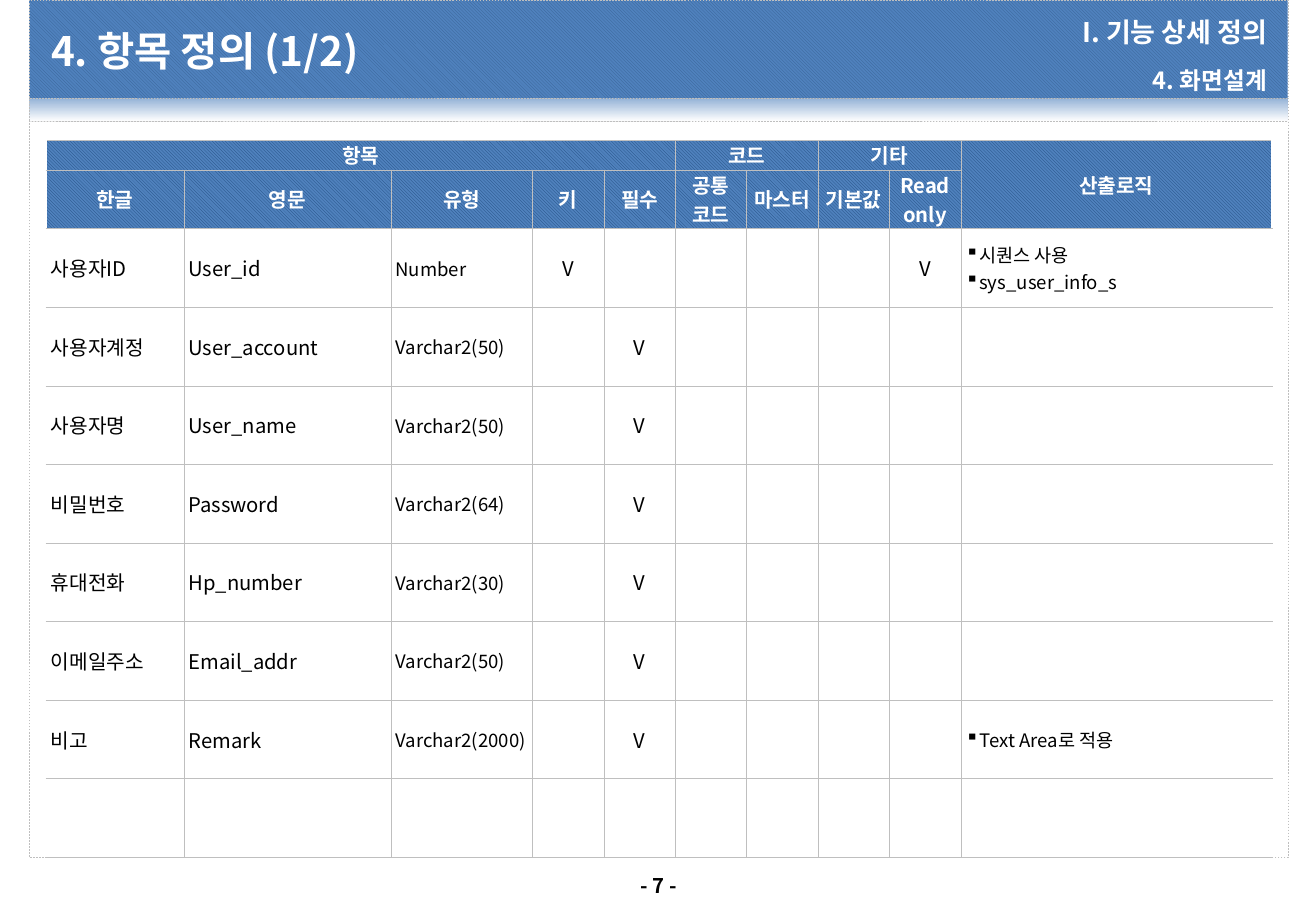
from lxml import etree
from pptx import Presentation
from pptx.dml.color import RGBColor
from pptx.enum.dml import MSO_LINE, MSO_PATTERN
from pptx.enum.shapes import MSO_SHAPE
from pptx.enum.text import MSO_ANCHOR, MSO_AUTO_SIZE, PP_ALIGN
from pptx.oxml.ns import qn
from pptx.util import Pt

LEFT, CENTER, RIGHT = PP_ALIGN.LEFT, PP_ALIGN.CENTER, PP_ALIGN.RIGHT
MIDDLE = MSO_ANCHOR.MIDDLE
NO_AUTOFIT = MSO_AUTO_SIZE.NONE
DIAGONAL = MSO_PATTERN.LIGHT_DOWNWARD_DIAGONAL
DASH = MSO_LINE.DASH
RECTANGLE = MSO_SHAPE.RECTANGLE

FONT = "Noto Sans CJK KR"
COLORS = {
    "white": "FFFFFF", "black": "000000", "border": "BFBFBF",
    "blue": "4F81BD", "banner_hatch": "376092", "header_hatch": "1F497D",
    "fade": "95B3D7",
}
BORDER_WIDTH = Pt(0.25)
CELL_FORMAT = {
    "margin_left": Pt(2.83), "margin_right": Pt(2.83),
    "margin_top": 0, "margin_bottom": 0, "vertical_anchor": MIDDLE,
}
HEADING_FORMAT = {
    "margin_left": Pt(2.83), "margin_right": Pt(2.83),
    "margin_top": Pt(2.83), "margin_bottom": Pt(2.83),
    "vertical_anchor": MIDDLE, "word_wrap": True, "auto_size": NO_AUTOFIT,
}
PAGE_NUMBER_FORMAT = {"word_wrap": False, "auto_size": NO_AUTOFIT}
SUBHEADING_SPACING = {
    "line_spacing": 1.5, "space_before": Pt(2.8), "space_after": Pt(2.8),
}

COLUMN_WIDTHS = [81.5, 122.7, 84.1] + [42.3] * 6 + [184.6]
HEADER_HEIGHTS = [13.7, 27.4]
ITEM_HEIGHT = 46.6
# Header group: first row, first column, last row, last column, label
HEADER_GROUPS = [
    (0, 0, 0, 4, "항목"), (0, 5, 0, 6, "코드"),
    (0, 7, 0, 8, "기타"), (0, 9, 1, 9, "산출로직"),
]
HEADERS = ["한글", "영문", "유형", "키", "필수", "공통\n코드", "마스터",
           "기본값", "Read only"]
KEY, REQUIRED, READ_ONLY, LOGIC = 3, 4, 8, 9
# Item: Korean name, English name, type, checked columns, logic
ITEMS = [
    ("사용자ID", "User_id", "Number", (KEY, READ_ONLY),
     "시퀀스 사용\nsys_user_info_s"),
    ("사용자계정", "User_account", "Varchar2(50)", (REQUIRED,), ""),
    ("사용자명", "User_name", "Varchar2(50)", (REQUIRED,), ""),
    ("비밀번호", "Password", "Varchar2(64)", (REQUIRED,), ""),
    ("휴대전화", "Hp_number", "Varchar2(30)", (REQUIRED,), ""),
    ("이메일주소", "Email_addr", "Varchar2(50)", (REQUIRED,), ""),
    ("비고", "Remark", "Varchar2(2000)", (REQUIRED,), "Text Area로 적용"),
    ("", "", "", (), ""),
]


def rgb(name):
    return RGBColor.from_string(COLORS[name])


def set_format(target, values):
    for attribute, value in values.items():
        setattr(target, attribute, value)


def set_hatch(fill, hatch):
    fill.patterned()
    fill.pattern = DIAGONAL
    fill.fore_color.rgb = rgb(hatch)
    fill.back_color.rgb = rgb("blue")


def set_solid(fill, color):
    fill.solid()
    fill.fore_color.rgb = rgb(color)


def set_bullet(paragraph):
    properties = paragraph._p.get_or_add_pPr()
    properties.set("marL", str(Pt(7)))
    properties.set("indent", str(-Pt(7)))
    etree.SubElement(properties, qn("a:buChar")).set("char", "▪")


def write_text(frame, text, size, color="black", bold=False, align=LEFT,
               bulleted=False, spacing=None):
    for index, line in enumerate(text.split("\n")):
        paragraph = frame.add_paragraph() if index else frame.paragraphs[0]
        set_format(paragraph, {"alignment": align, **(spacing or {})})
        if bulleted:
            set_bullet(paragraph)
        run = paragraph.add_run()
        run.text = line
        set_format(run.font, {"size": Pt(size), "bold": bold, "name": FONT})
        run.font.color.rgb = rgb(color)
        east_asian = etree.SubElement(run._r.get_or_add_rPr(), qn("a:ea"))
        east_asian.set("typeface", FONT)


def add_panel(slide, top, height):
    panel = slide.shapes.add_shape(RECTANGLE, Pt(17.3), Pt(top), Pt(746), Pt(height))
    panel.shadow.inherit = False
    set_format(panel.line, {"width": BORDER_WIDTH, "dash_style": DASH})
    panel.line.color.rgb = rgb("border")
    return panel


def add_label(slide, left, top, width, height, text, size, frame_format, **style):
    label = slide.shapes.add_textbox(Pt(left), Pt(top), Pt(width), Pt(height))
    set_format(label.text_frame, frame_format)
    write_text(label.text_frame, text, size, bold=True, **style)


def set_title(slide, text):
    title = slide.shapes.title
    title.element.getparent().append(title.element)  # in front of the banner
    set_format(title, {"left": Pt(27.4), "top": Pt(5.8),
                       "width": Pt(481.7), "height": Pt(47.5)})
    set_format(title.text_frame, HEADING_FORMAT)
    write_text(title.text_frame, text, 24, "white", True)


def set_borders(cell, sides):
    properties = cell._tc.get_or_add_tcPr()
    for position, side in enumerate(sides):
        line = etree.Element(qn(f"a:ln{side}"), w=str(BORDER_WIDTH))
        fill = etree.SubElement(line, qn("a:solidFill"))
        etree.SubElement(fill, qn("a:srgbClr")).set("val", COLORS["border"])
        properties.insert(position, line)


def fill_header(table):
    for first_row, first_column, last_row, last_column, label in HEADER_GROUPS:
        group = table.cell(first_row, first_column)
        group.merge(table.cell(last_row, last_column))
        write_text(group.text_frame, label, 12, "white", True, CENTER)
    for column, label in enumerate(HEADERS):
        write_text(table.cell(1, column).text_frame, label, 12, "white", True, CENTER)


def fill_items(table):
    for row, (korean, english, kind, checks, logic) in enumerate(ITEMS, 2):
        entries = [(0, korean, 12, LEFT), (1, english, 12, LEFT),
                   (2, kind, 11, LEFT), (LOGIC, logic, 11, LEFT)]
        entries += [(column, "V", 12, CENTER) for column in checks]
        for column, text, size, align in entries:
            if text:
                write_text(table.cell(row, column).text_frame, text, size,
                           align=align, bulleted=column == LOGIC)


def add_item_table(slide):
    heights = HEADER_HEIGHTS + [ITEM_HEIGHT] * len(ITEMS)
    table = slide.shapes.add_table(
        len(heights), len(COLUMN_WIDTHS), Pt(27.4), Pt(83.2),
        Pt(sum(COLUMN_WIDTHS)), Pt(sum(heights))).table
    set_format(table, {"first_row": False, "horz_banding": False})
    for column, width in zip(table.columns, COLUMN_WIDTHS):
        column.width = Pt(width)
    for row_index, (row, height) in enumerate(zip(table.rows, heights)):
        row.height = Pt(height)
        for column_index, cell in enumerate(row.cells):
            set_format(cell, CELL_FORMAT)
            if row_index < len(HEADER_HEIGHTS):
                set_hatch(cell.fill, "header_hatch")
            else:
                set_solid(cell.fill, "white")
            # The outer left and right edges stay open
            sides = {0: "RTB", LOGIC: "LTB"}.get(column_index, "LRTB")
            set_borders(cell, sides)
    fill_header(table)
    fill_items(table)


def main():
    presentation = Presentation()
    set_format(presentation, {"slide_width": Pt(780), "slide_height": Pt(540)})
    slide = presentation.slides.add_slide(presentation.slide_layouts[5])

    # Frame: fading strip, content area and banner
    fade = add_panel(slide, 58.3, 13.7).fill
    fade.gradient()
    fade.gradient_angle = 270
    for stop, color in zip(fade.gradient_stops, ("fade", "white")):
        stop.color.rgb = rgb(color)
    set_solid(add_panel(slide, 72, 436.3).fill, "white")
    set_hatch(add_panel(slide, 0, 58.3).fill, "banner_hatch")

    # Headings and page number
    add_label(slide, 365.8, 514, 49, 21.6, "- 7 -", 12, PAGE_NUMBER_FORMAT, align=CENTER)
    add_label(slide, 509, 5.8, 244.8, 26.6, "I. 기능 상세 정의", 16,
              HEADING_FORMAT, color="white", align=RIGHT)
    set_title(slide, "4. 항목 정의 (1/2)")
    add_label(slide, 509, 33.8, 244.8, 19.4, "4. 화면설계", 14, HEADING_FORMAT,
              color="white", align=RIGHT, spacing=SUBHEADING_SPACING)

    # Item definitions
    add_item_table(slide)
    presentation.save("out.pptx")


main()
